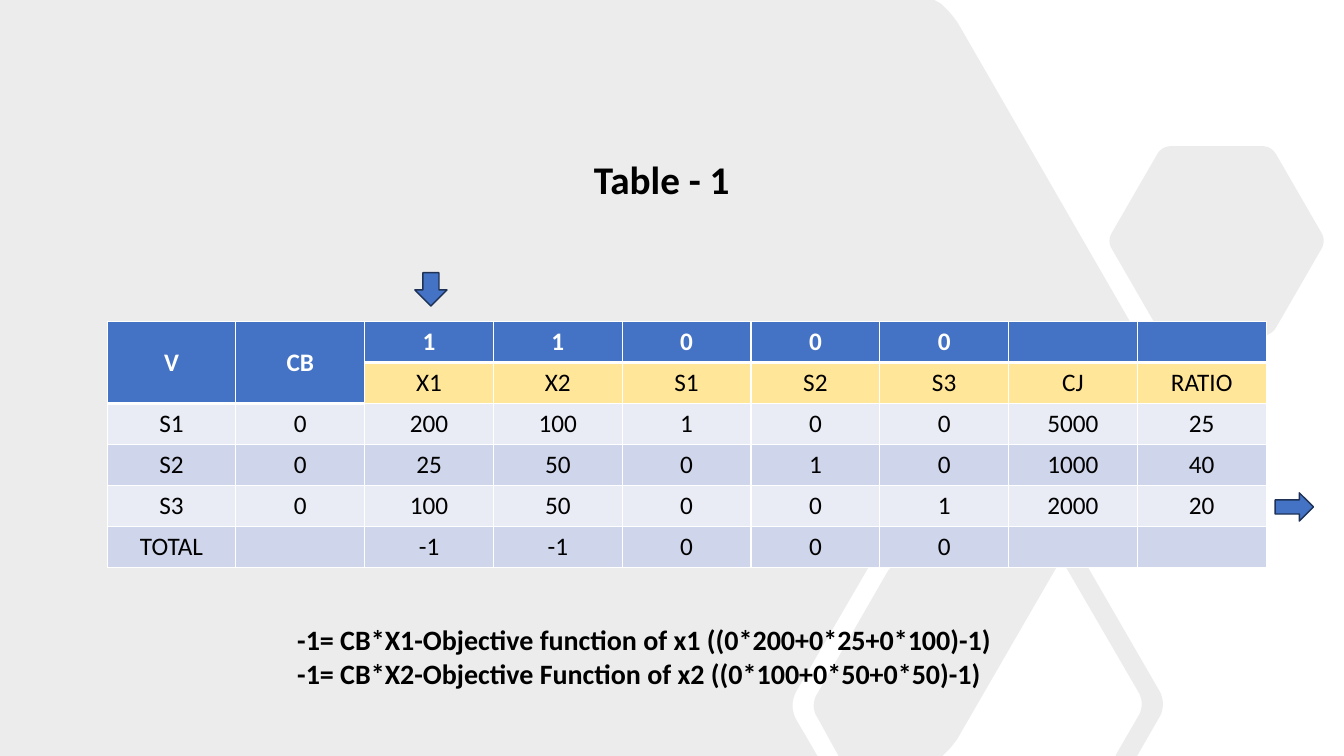
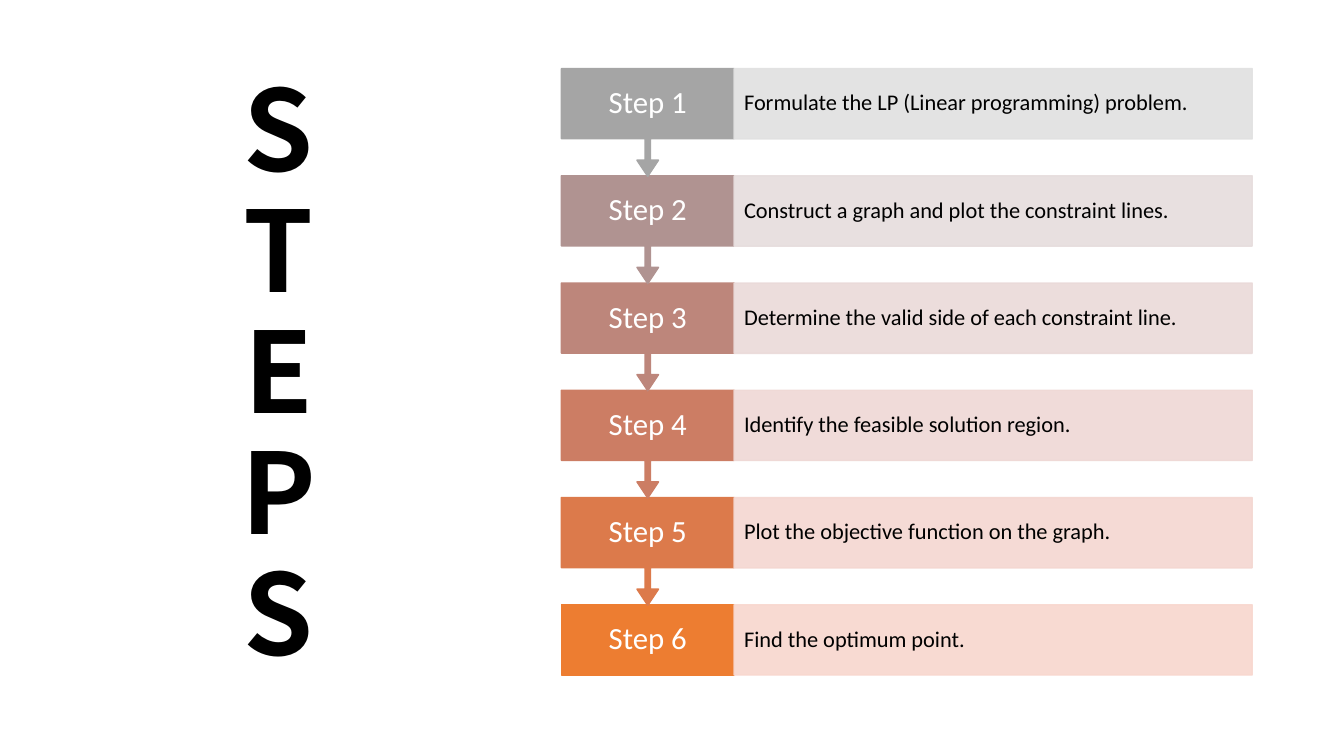
from pptx import Presentation
from pptx.dml.color import RGBColor
from pptx.enum.shapes import MSO_SHAPE as SHAPE
from pptx.enum.text import MSO_ANCHOR as ANCHOR, PP_ALIGN as ALIGN
from pptx.oxml.ns import qn
from pptx.util import Pt
from lxml.etree import SubElement

BLACK = RGBColor(0x00, 0x00, 0x00)
WHITE = RGBColor(0xFF, 0xFF, 0xFF)
GRAY = RGBColor(0x80, 0x80, 0x80)
BLUE = RGBColor(0x44, 0x72, 0xC4)
NAVY = RGBColor(0x1E, 0x32, 0x56)
YELLOW = RGBColor(0xFF, 0xE6, 0x99)
LIGHT_BAND = RGBColor(0xE9, 0xEB, 0xF5)
DARK_BAND = RGBColor(0xCF, 0xD5, 0xEA)


def write(frame, lines, font, layout):
    frame.word_wrap = True
    frame.vertical_anchor = layout.get("anchor", ANCHOR.MIDDLE)
    for index, line in enumerate(lines):
        para = frame.paragraphs[0] if index == 0 else frame.add_paragraph()
        para.text = line
        para.alignment = layout.get("align", ALIGN.CENTER)
        para.line_spacing = layout.get("spacing", 1.0)
        for span in para.runs:
            values = {"name": "Calibri", "color": BLACK, "bold": False} | font
            span.font.color.rgb = values.pop("color")
            for name, value in values.items():
                setattr(span.font, name, value)


def paint(shape, fill, line=None, opacity=100):
    shape.shadow.inherit = False
    shape.fill.solid()
    shape.fill.fore_color.rgb = fill
    if line is None:
        shape.line.fill.background()
    else:
        shape.line.color.rgb = line
        shape.line.width = Pt(1)
    if opacity < 100:
        for color in shape._element.spPr.iter(qn("a:srgbClr")):
            SubElement(color, qn("a:alpha"), val=str(opacity * 1000))


deck = Presentation()
deck.slide_width, deck.slide_height = Pt(960), Pt(540)
blank = deck.slide_layouts[6]

page = deck.slides.add_slide(blank)

HEXAGONS = [
    [(901, 556), (1039, 556), (1042, 556, 1044, 556, 1046, 557), (1050, 559),
     (1048, 563), (951, 731), (948, 736, 944, 741, 940, 745), (935, 750),
     (832, 750), (811, 712), (806, 705, 806, 695, 811, 688), (880, 568),
     (884, 561, 892, 556, 901, 556)],
    [(1162, 145), (1252, 145), (1258, 145, 1263, 148, 1266, 153), (1311, 231),
     (1314, 236, 1314, 242, 1311, 247), (1266, 325),
     (1263, 330, 1258, 333, 1252, 333), (1162, 333),
     (1156, 333, 1151, 330, 1148, 325), (1103, 247),
     (1100, 242, 1100, 236, 1103, 231), (1148, 153),
     (1151, 148, 1156, 145, 1162, 145)],
    [(0, 0), (927, 0), (934, 4), (940, 10, 946, 16, 951, 24), (1136, 345),
     (1148, 365, 1148, 390, 1136, 410), (1067, 530), (1062, 540),
     (1066, 542, 1069, 546, 1072, 550), (1150, 685),
     (1155, 693, 1155, 704, 1150, 712), (1131, 745), (1128, 750), (1107, 750),
     (1107, 749), (1129, 711), (1134, 703, 1134, 694, 1129, 686), (1060, 567),
     (1058, 563, 1055, 560, 1051, 558), (1050, 557), (1060, 540), (1056, 538),
     (1053, 538, 1051, 537, 1048, 537), (892, 537),
     (882, 537, 873, 543, 868, 552), (790, 686),
     (785, 695, 785, 705, 790, 714), (804, 738), (811, 750), (0, 750)],
]
UNIT = 7.2
CURVE_STEPS = 8
builder = page.shapes.build_freeform(0, 0, scale=Pt(0.1))
for outline in HEXAGONS:
    x, y = outline[0]
    builder.move_to(x * UNIT, y * UNIT)
    points = []
    for knot in outline[1:]:
        if len(knot) == 2:
            points.append(knot)
        else:
            x1, y1, x2, y2, x3, y3 = knot
            for step in range(1, CURVE_STEPS + 1):
                t = step / CURVE_STEPS
                a, b, c, d = (1 - t) ** 3, 3 * t * (1 - t) ** 2, 3 * t * t * (1 - t), t ** 3
                points.append((a * x + b * x1 + c * x2 + d * x3,
                               a * y + b * y1 + c * y2 + d * y3))
        x, y = knot[-2:]
    builder.add_line_segments([(px * UNIT, py * UNIT) for px, py in points], close=True)
paint(builder.convert_to_shape(), GRAY, opacity=15)

ROWS = [
    ["V", "CB", "1", "1", "0", "0", "0", "", ""],
    ["", "", "X1", "X2", "S1", "S2", "S3", "CJ", "RATIO"],
    ["S1", "0", "200", "100", "1", "0", "0", "5000", "25"],
    ["S2", "0", "25", "50", "0", "1", "0", "1000", "40"],
    ["S3", "0", "100", "50", "0", "0", "1", "2000", "20"],
    ["TOTAL", "", "-1", "-1", "0", "0", "0", "", ""],
]
ROW_FILLS = [BLUE, YELLOW, LIGHT_BAND, DARK_BAND, LIGHT_BAND, DARK_BAND]
table = page.shapes.add_table(6, 9, Pt(76.5), Pt(229.7), Pt(828), Pt(175.8)).table
for row in table.rows:
    row.height = Pt(29.3)
for column in table.columns:
    column.width = Pt(92)
for column in range(2):
    table.cell(0, column).merge(table.cell(1, column))
for r, (texts, fill) in enumerate(zip(ROWS, ROW_FILLS)):
    for c, text in enumerate(texts):
        cell = table.cell(r, c)
        header = r == 0 or (r == 1 and c < 2)
        properties = cell._tc.get_or_add_tcPr()
        for side in ("lnL", "lnR", "lnT", "lnB"):
            width = Pt(3) if header and side == "lnB" else Pt(1)
            border = SubElement(properties, qn(f"a:{side}"), w=str(width))
            SubElement(SubElement(border, qn("a:solidFill")), qn("a:srgbClr"), val=str(WHITE))
        cell.fill.solid()
        cell.fill.fore_color.rgb = BLUE if header else fill
        if text:
            write(cell.text_frame, [text],
                  {"size": Pt(18), "bold": header, "color": WHITE if header else BLACK}, {})
        cell.vertical_anchor = ANCHOR.MIDDLE

box = page.shapes.add_textbox(Pt(383.8), Pt(107.3), Pt(177.8), Pt(41))
write(box.text_frame, ["Table - 1"], {"size": Pt(28), "bold": True}, {"anchor": ANCHOR.TOP})

for kind, left, top, width, height in [
    (SHAPE.RIGHT_ARROW, 910.8, 352, 27.4, 20.2),
    (SHAPE.DOWN_ARROW, 296.3, 194.8, 23, 23.8),
]:
    arrow = page.shapes.add_shape(kind, Pt(left), Pt(top), Pt(width), Pt(height))
    paint(arrow, BLUE, NAVY)

box = page.shapes.add_textbox(Pt(205.2), Pt(441.3), Pt(570.2), Pt(56))
write(box.text_frame,
      ["-1= CB*X1-Objective function of x1 ((0*200+0*25+0*100)-1)",
       "-1= CB*X2-Objective Function of x2 ((0*100+0*50+0*50)-1)"],
      {"size": Pt(20), "bold": True}, {"anchor": ANCHOR.TOP, "align": ALIGN.LEFT})

page = deck.slides.add_slide(blank)

box = page.shapes.add_textbox(Pt(66.2), Pt(49), Pt(265.7), Pt(438.5))
write(box.text_frame, ["\v".join("STEPS")],
      {"name": "Noto Sans CJK JP", "size": Pt(80), "bold": True}, {"spacing": Pt(86.4)})

STEPS = [
    ("Formulate the LP (Linear programming) problem.", "A5A5A5", "E1E1E1"),
    ("Construct a graph and plot the constraint lines.", "B09391", "E6DDDD"),
    ("Determine the valid side of each constraint line.", "BD867B", "EADAD9"),
    ("Identify the feasible solution region.", "CC7D64", "EFD8D5"),
    ("Plot the objective function on the graph.", "DC7A4B", "F4D7D1"),
    ("Find the optimum point.", "ED7D31", "F8D7CE"),
]
LEFT, TOP, PITCH, BAR = 401, 49, 76.6, 50.2
LABEL_WIDTH, BAR_WIDTH = 123.4, 370.1
for index in reversed(range(len(STEPS))):
    text, strong, pale = STEPS[index]
    strong, pale = RGBColor.from_string(strong), RGBColor.from_string(pale)
    top = TOP + index * PITCH
    last = index == len(STEPS) - 1
    label = page.shapes.add_shape(SHAPE.RECTANGLE if last else SHAPE.DOWN_ARROW_CALLOUT,
                                  Pt(LEFT), Pt(top), Pt(LABEL_WIDTH), Pt(BAR if last else 77))
    if not last:
        for slot, value in enumerate([0.05, 0.1, 0.15, 0.65]):
            label.adjustments[slot] = value
    paint(label, strong, strong)
    write(label.text_frame, [f"Step {index + 1}"],
          {"size": Pt(22), "color": WHITE}, {"spacing": 0.9})
    bar = page.shapes.add_shape(SHAPE.RECTANGLE, Pt(LEFT + LABEL_WIDTH), Pt(top),
                                Pt(BAR_WIDTH), Pt(BAR))
    paint(bar, pale, pale, opacity=90)
    write(bar.text_frame, [text], {"size": Pt(16)}, {"align": ALIGN.LEFT, "spacing": 0.9})

deck.save("out.pptx")
